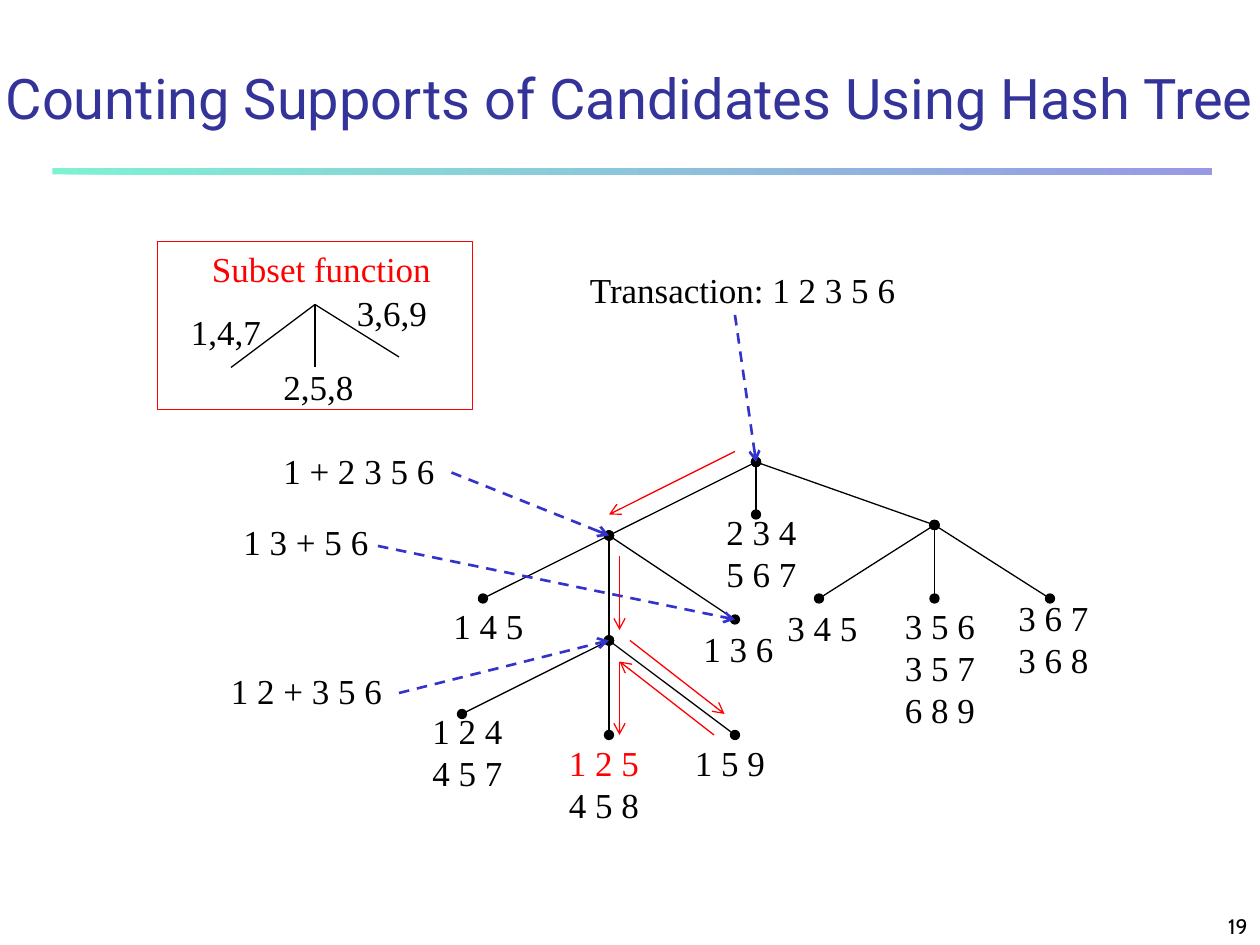
from lxml.etree import SubElement
from pptx import Presentation
from pptx.dml.color import RGBColor
from pptx.enum.dml import MSO_LINE
from pptx.enum.shapes import MSO_CONNECTOR, MSO_SHAPE
from pptx.enum.text import MSO_ANCHOR, PP_ALIGN
from pptx.oxml.ns import qn
from pptx.util import Inches, Pt

BLACK = RGBColor(0x00, 0x00, 0x00)
RED = RGBColor(0xFF, 0x00, 0x00)
BLUE = RGBColor(0x33, 0x33, 0xCC)
NAVY = RGBColor(0x33, 0x33, 0x99)
MINT = RGBColor(0x00, 0xE4, 0xA8)
SERIF = "Times New Roman"
COLS, ROWS = 120, 90
WIDTH, HEIGHT = Inches(10), Inches(7.5)


def grid(box, x, y):
    """Turn a column and row inside a box into slide lengths."""
    return int((box[0] + x) * WIDTH / COLS), int((box[1] + y) * HEIGHT / ROWS)


def add_text(shapes, box, lines, size=20, font=SERIF, align=PP_ALIGN.LEFT,
             anchor=MSO_ANCHOR.TOP):
    """Write (text, colour) lines, one paragraph each, in a box."""
    s = shapes.add_textbox(*grid(box, 0, 0), *grid((0, 0), *box[2:]))
    tf = s.text_frame
    tf.word_wrap = False
    tf.vertical_anchor = anchor
    for i, (text, color) in enumerate(lines):
        p = tf.paragraphs[0] if i == 0 else tf.add_paragraph()
        p.alignment = align
        r = p.add_run()
        r.text = text
        r.font.size, r.font.name = Pt(size), font
        r.font.color.rgb = color


def add_label(shapes, box, x, y, lines, width=9.2):
    """Place a label at a column and row inside a box."""
    height = 1.2 + 4 * len(lines)
    add_text(shapes, (box[0] + x, box[1] + y, width, height), lines)


def add_line(shapes, box, start, end, color=BLACK, weight=0.75, head=None,
             tail=None, dash=None):
    """Draw a straight line between two grid points of a box."""
    s = shapes.add_connector(MSO_CONNECTOR.STRAIGHT, *grid(box, *start), *grid(box, *end))
    s.line.color.rgb = color
    s.line.width = Pt(weight)
    if dash:
        s.line.dash_style = dash
    ln = s.line._get_or_add_ln()
    for tag, kind in (("a:headEnd", head), ("a:tailEnd", tail)):
        if kind:
            SubElement(ln, qn(tag)).set("type", kind)
    SubElement(s._element.spPr, qn("a:effectLst"))


def add_rule(shapes, box):
    """Draw the half-transparent gradient rule under the title."""
    s = shapes.add_shape(MSO_SHAPE.RECTANGLE, *grid(box, 0, 0), *grid((0, 0), *box[2:]))
    s.shadow.inherit = False
    s.line.fill.background()
    s.fill.gradient()
    s.fill.gradient_angle = 0
    for stop, color in zip(s.fill.gradient_stops, (MINT, BLUE)):
        stop.color.rgb = color
    for clr in s._element.spPr.iter(qn("a:srgbClr")):
        SubElement(clr, qn("a:alpha")).set("val", "50000")


def add_subset_function(shapes, box):
    """Draw the framed key of the three hash branches."""
    for end in ((7, 12), (15, 12), (23, 11)):
        add_line(shapes, box, (15, 6), end)
    for x, y, text in ((2, 6, "1,4,7"), (10.8, 11.2, "2,5,8"), (17.8, 4.2, "3,6,9")):
        add_label(shapes, box, x, y, [(text, BLACK)])
    add_label(shapes, box, 4, 0, [("Subset function", RED)], width=23.3)
    s = shapes.add_shape(MSO_SHAPE.RECTANGLE, *grid(box, 0, 0), *grid((0, 0), *box[2:]))
    s.shadow.inherit = False
    s.fill.background()
    s.line.color.rgb = RED
    s.line.width = Pt(0.75)


def add_hash_tree(shapes, box):
    """Draw the hash tree with its candidate itemsets."""
    root, left, right, middle = (32, 0), (18, 7), (49, 6), (18, 17)
    branches = {
        root: (left, (32, 5), right),
        left: ((6, 13), middle, (30, 15)),
        middle: ((4, 24), (18, 26), (30, 26)),
        right: ((38, 13), (49, 13), (60, 13)),
    }
    leaves = (
        (28, 4, ("2 3 4", "5 6 7")),
        (2, 13, ("1 4 5",)),
        (25.8, 15.2, ("1 3 6",)),
        (0, 23, ("1 2 4", "4 5 7")),
        (13, 26, ("1 2 5", "4 5 8")),
        (25, 26, ("1 5 9",)),
        (33.8, 13.2, ("3 4 5",)),
        (45, 13, ("3 5 6", "3 5 7", "6 8 9")),
        (55.8, 12.2, ("3 6 7", "3 6 8")),
    )
    for parent, children in branches.items():
        for child in children:
            add_line(shapes, box, parent, child, head="oval", tail="oval")
    for x, y, itemsets in leaves:
        lines = [(t, RED if t == "1 2 5" else BLACK) for t in itemsets]
        add_label(shapes, box, x, y, lines)


def add_traversal(shapes, box):
    """Draw the transaction, its prefixes and the path of the search."""
    prefixes = (
        ("Transaction: 1 2 3 5 6", 35, 0, 31.5, (50, 5), (52, 19)),
        ("1 + 2 3 5 6", 5.8, 17.2, 16.8, (23, 20), (38, 26)),
        ("1 2 + 3 5 6", 0.8, 38.2, 16.8, (18, 41), (38, 36)),
        ("1 3 + 5 6", 2, 24, 14.3, (16, 27), (50, 34)),
    )
    steps = (
        ((50, 18), (38, 24)),
        ((40, 36), (49, 43)),
        ((48, 45), (39, 38)),
        ((39, 28), (39, 35)),
        ((39, 38), (39, 45)),
    )
    for text, x, y, width, start, end in prefixes:
        add_label(shapes, box, x, y, [(text, BLACK)], width)
        add_line(shapes, box, start, end, BLUE, 1.5, tail="arrow", dash=MSO_LINE.DASH)
    for start, end in steps:
        add_line(shapes, box, start, end, RED, tail="arrow")


def main():
    """Build the slide and save it."""
    prs = Presentation()
    prs.slide_width, prs.slide_height = WIDTH, HEIGHT
    shapes = prs.slides.add_slide(prs.slide_layouts[6]).shapes
    add_rule(shapes, (5, 16, 110.4, 0.6))
    add_text(shapes, (95, 85, 25, 5), [("19", BLACK)], 12, "Cabin",
             PP_ALIGN.RIGHT, MSO_ANCHOR.BOTTOM)
    add_text(shapes, (-4, 5, 128, 8),
             [("Counting Supports of Candidates Using Hash Tree", NAVY)], 32, "Roboto",
             PP_ALIGN.CENTER, MSO_ANCHOR.BOTTOM)
    add_subset_function(shapes.add_group_shape().shapes, (15, 23, 30, 16))
    add_hash_tree(shapes.add_group_shape().shapes, (40, 44, 65, 35))
    add_traversal(shapes, (20, 25, 67, 45))
    prs.save("out.pptx")


if __name__ == "__main__":
    main()
